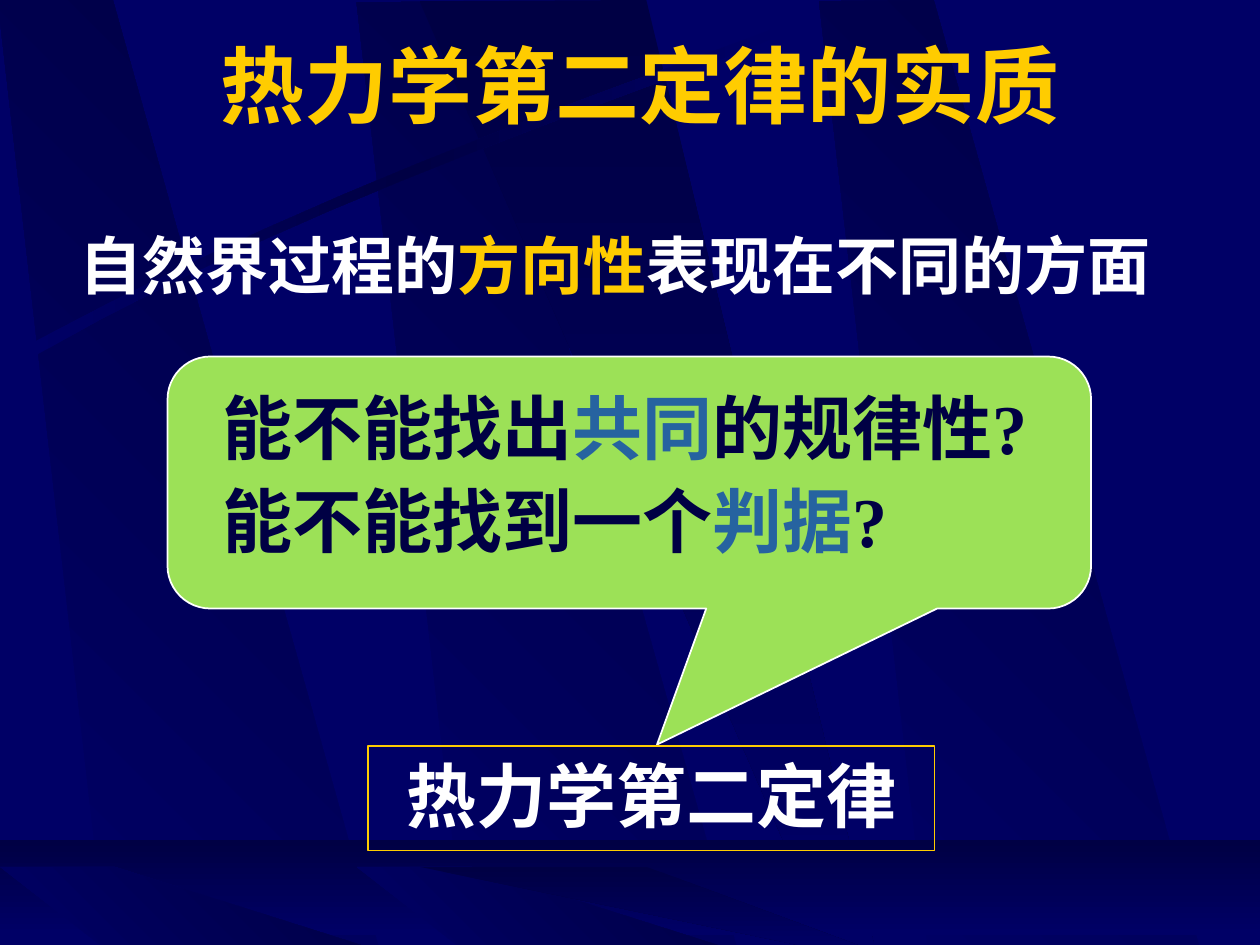
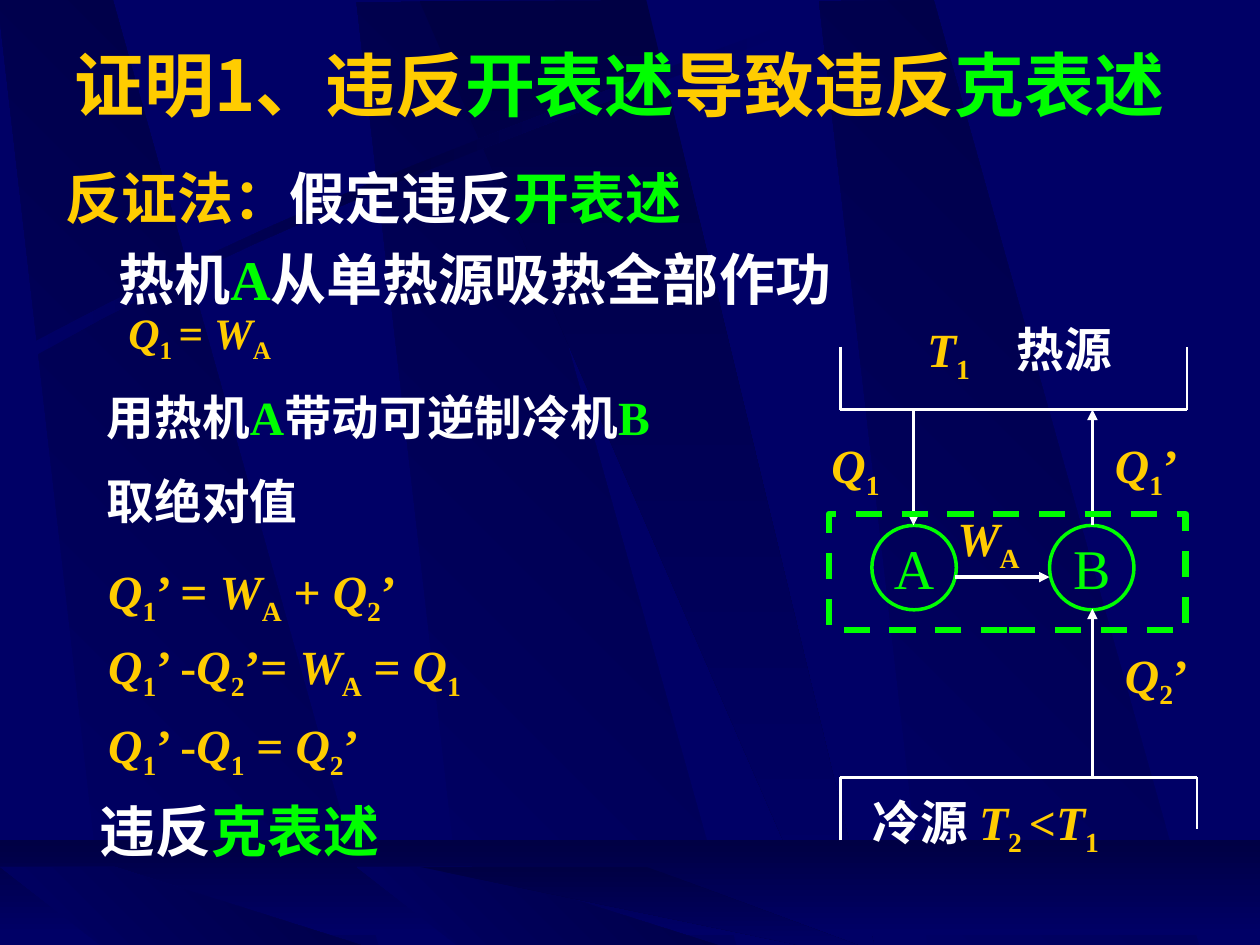
from copy import deepcopy
from dataclasses import dataclass
from itertools import pairwise

from pptx import Presentation
from pptx import util as u
from pptx.dml.color import RGBColor
from pptx.enum import dml, shapes, text
from pptx.oxml.ns import qn
from lxml import etree


@dataclass(frozen=True)
class Theme:
    navy: str = "000066"
    midnight: str = "000044"
    gold: str = "FFCC00"
    white: str = "FFFFFF"
    green: str = "00FF00"
    lime: str = "9CE157"
    blue: str = "2663A0"
    serif: str = "Times New Roman"
    sans: str = "Noto Sans CJK SC"
    cover_title: float = 48
    title: float = 40
    lead: float = 36
    body: float = 32
    note: float = 27.2
    small: float = 24.8


THEME = Theme()


def grid(units):
    """One layout unit is 2.54 cm; the page is 10 by 7.5 units."""
    return u.Cm(2.54 * units)


def bezier(start, ctrl_a, ctrl_b, end, steps=12):
    """Points along a cubic curve, without its start."""
    points = []
    for step in range(1, steps + 1):
        t = step / steps
        weights = ((1 - t) ** 3, 3 * t * (1 - t) ** 2, 3 * t * t * (1 - t), t ** 3)
        corners = (start, ctrl_a, ctrl_b, end)
        points.append(tuple(sum(w * c[axis] for w, c in zip(weights, corners))
                            for axis in (0, 1)))
    return points


class Painter:
    def __init__(self, deck, theme):
        self.deck, self.theme, self.page = deck, theme, None

    # Page and shared backdrop
    def new_page(self):
        self.page = self.deck.slides.add_slide(self.deck.slide_layouts[6])
        fill = self.page.background.fill
        fill.solid()
        fill.fore_color.rgb = RGBColor.from_string(self.theme.navy)
        self.backdrop()

    def backdrop(self):
        navy, dark = self.theme.navy, self.theme.midnight
        slant = [(0.86, 7.5), (3.02, 7.52), (0.91, 0), (0, 0.01)]
        for left, top in ((2.83, 0.01), (-0.02, -0.02), (6.5, 0)):
            self.outline([(left + x, top + y) for x, y in slant], (navy, dark), 315)
        self.outline([(3.33, 0.01), (6.58, 7.51), (6.94, 7.51), (5.13, 0)],
                     (dark, navy), 90)

        upper = bezier((0.2, 2.75), (2.84, 1.34), (5.24, 0.59), (6.26, 0.18))
        lower = bezier((6.29, 0.24), (5.28, 0.69), (2.54, 1.51), (0.23, 2.85))
        self.outline([(0.2, 2.75), *upper, (6.29, 0.24), *lower], (navy, dark, navy), 0)

        floor = self.shape(shapes.MSO_SHAPE.RECTANGLE, (0, 6.67, 10, 0.75))
        self.gradient(floor, (dark, navy), 90)
        for left in (2.83, 0):
            self.outline([(left + 0.86, 7.55), (left + 3.02, 7.55),
                          (left + 0.91, 6.88), (left, 6.88)], (navy, dark), 315)
        self.outline([(3.33, 6.88), (6.58, 7.55), (6.94, 7.55), (5.13, 6.88)],
                     (dark, navy), 90)

    def gradient(self, shape, colours, clockwise):
        shape.fill.gradient()
        shape.fill.gradient_angle = (360 - clockwise) % 360
        stop_list = shape.element.spPr.find(".//" + qn("a:gsLst"))
        for _ in colours[2:]:
            stop_list.insert(1, deepcopy(stop_list[0]))
        for index, stop in enumerate(stop_list):
            stop.set("pos", str(100000 * index // (len(colours) - 1)))
        for stop, colour in zip(shape.fill.gradient_stops, colours):
            stop.color.rgb = RGBColor.from_string(colour)

    # Shapes and lines
    def outline(self, points, colours, clockwise):
        corners = [(grid(x), grid(y)) for x, y in points]
        builder = self.page.shapes.build_freeform(*corners[0])
        builder.add_line_segments(corners[1:], close=True)
        shape = builder.convert_to_shape()
        shape.shadow.inherit = False
        shape.line.fill.background()
        self.gradient(shape, colours, clockwise)

    def shape(self, kind, place, fill=None, line=None, width=1, dashed=False):
        shape = self.page.shapes.add_shape(kind, *map(grid, place))
        shape.shadow.inherit = False
        if fill:
            shape.fill.solid()
            shape.fill.fore_color.rgb = RGBColor.from_string(fill)
        else:
            shape.fill.background()
        if line:
            shape.line.color.rgb = RGBColor.from_string(line)
            shape.line.width = u.Pt(width)
        else:
            shape.line.fill.background()
        if dashed:
            shape.line.dash_style = dml.MSO_LINE.DASH
        return shape

    def line(self, start, end, width=1.5, arrow=False):
        line = self.page.shapes.add_connector(
            shapes.MSO_CONNECTOR.STRAIGHT, *map(grid, (*start, *end)))
        line.line.color.rgb = RGBColor.from_string(self.theme.white)
        line.line.width = u.Pt(width)
        properties = line.element.spPr
        if arrow:
            etree.SubElement(properties.find(qn("a:ln")), qn("a:tailEnd"), type="triangle")
        etree.SubElement(properties, qn("a:effectLst"))

    def arrow(self, start, end):
        self.line(start, end, 2, True)

    def bracket(self, points):
        for start, end in pairwise(points):
            self.line(start, end)

    # Text
    def set_text(self, frame, paras, size, latin=None, bold=True, centred=False,
                 spacing=None, before=0, tab=None, indents=()):
        """Each para lists (words, colour); in words, pieces are split by |,
        * marks an italic symbol and _ a subscript."""
        frame.word_wrap = True
        for index, spans in enumerate(paras):
            para = frame.add_paragraph() if index else frame.paragraphs[0]
            if tab:
                tabs = etree.SubElement(para._p.get_or_add_pPr(), qn("a:tabLst"))
                etree.SubElement(tabs, qn("a:tab"), pos=str(grid(tab)), algn="l")
            para.alignment = text.PP_ALIGN.CENTER if centred else text.PP_ALIGN.LEFT
            if spacing:
                para.line_spacing = spacing
            if index:
                para.space_before = u.Pt(before)
            if indents:
                para._p.get_or_add_pPr().set("marL", str(grid(indents[index])))
            for words, colour in spans:
                for piece in words.split("|"):
                    self.span(para, piece, colour, size, latin or self.theme.serif, bold)

    def span(self, para, piece, colour, size, latin, bold):
        span = para.add_run()
        span.text = piece.lstrip("*_")
        font = span.font
        font.size, font.bold, font.name = u.Pt(size), bold, latin
        font.italic = piece.startswith("*")
        font.color.rgb = RGBColor.from_string(colour)
        properties = span._r.get_or_add_rPr()
        if piece.startswith("_"):
            properties.set("baseline", "-25000")
        etree.SubElement(properties, qn("a:ea"), typeface=self.theme.sans)

    def box(self, place, paras, size, **style):
        box = self.page.shapes.add_textbox(*map(grid, place))
        self.set_text(box.text_frame, paras, size, **style)
        return box

    def title(self, place, spans, size):
        box = self.box(place, [spans], size, latin=self.theme.sans, centred=True)
        box.text_frame.vertical_anchor = text.MSO_ANCHOR.MIDDLE

    def formula(self, place, words, size=None, spacing=0.9):
        self.box(place, [[(words, self.theme.gold)]], size or self.theme.note,
                 spacing=spacing)

    def engine(self, left, name):
        ring = self.shape(shapes.MSO_SHAPE.OVAL, (left, 4.17, 0.67, 0.67),
                          line=self.theme.green, width=2)
        frame = ring.text_frame
        frame.margin_left = frame.margin_right = frame.margin_top = frame.margin_bottom = 0
        frame.vertical_anchor = text.MSO_ANCHOR.MIDDLE
        self.set_text(frame, [[(name, self.theme.green)]], self.theme.body,
                      bold=False, centred=True)


def essence_page(art):
    theme = art.theme
    art.new_page()
    callout = art.shape(shapes.MSO_SHAPE.ROUNDED_RECTANGULAR_CALLOUT,
                        (1.33, 2.83, 7.33, 2), theme.lime, theme.white)
    for index, value in enumerate((0.03, 1.04, 0.17)):
        callout.adjustments[index] = value
    art.title((0.83, 0.22, 8.5, 0.9), [("热力学第二定律的实质", theme.gold)],
              theme.cover_title)
    art.box((1.67, 3.08, 6.92, 1.5), [
        [("能不能找出", theme.midnight), ("共同", theme.blue), ("的规律性?", theme.midnight)],
        [("能不能找到一个", theme.midnight), ("判据", theme.blue), ("?", theme.midnight)],
    ], theme.title, spacing=0.9, before=10)
    art.box((0.53, 1.75, 9.13, 0.92), [
        [("自然界过程的", theme.white), ("方向性", theme.gold),
         ("表现在不同的方面", theme.white)]], theme.lead, latin=theme.sans)
    law = art.shape(shapes.MSO_SHAPE.RECTANGLE, (2.92, 5.92, 4.5, 0.83),
                    line=theme.gold, width=0.75)
    law.text_frame.vertical_anchor = text.MSO_ANCHOR.TOP
    art.set_text(law.text_frame, [[("热力学第二定律", theme.white)]], theme.title,
                 centred=True)


def proof_page(art):
    theme = art.theme
    gold, white, green = theme.gold, theme.white, theme.green
    art.new_page()
    art.title((0.33, 0.28, 9.17, 0.77),
              [("证明1、违反", gold), ("开表述", green), ("导致违反", gold),
               ("克表述", green)], theme.title)

    # Argument on the left
    art.box((0.42, 1.25, 6.5, 1.32), [
        [("反证法：", gold), ("假定违反", white), ("开表述", green)],
        [("热机", white), ("A", green), ("从单热源吸热全部作功", white)],
    ], theme.body, before=8, indents=(0, 0.42))
    art.formula((0.92, 2.42, 1.92, 0.58), "*Q|_1 |= |*W|_A", theme.small, 0.8)
    art.box((0.75, 3.08, 5.42, 0.58),
            [[("用热机", white), ("A", green), ("带动可逆制冷机", white), ("B", green)]],
            theme.note, spacing=0.9)
    art.box((0.75, 3.75, 2.5, 0.58), [[("取绝对值", white)]], theme.note, spacing=0.9)
    equations = ("*Q|_1|’ = |*W|_A| + |*Q|_2|’",
                 "*Q|_1|’ -|*Q|_2|’= |*W|_A| = |*Q|_1",
                 "*Q|_1|’ -|*Q|_1| = |*Q|_2|’")
    for top, words in zip((4.42, 5.01, 5.64), equations):
        art.formula((0.76, top, 4.17, 0.67), words)
    art.box((0.69, 6.27, 3.16, 0.67), [[("违反", white), ("克表述", green)]], theme.body)

    # Heat reservoirs
    hot, cold = 3.25, 6.17
    art.bracket([(6.67, 2.75), (6.67, hot), (9.42, hot), (9.42, 2.75)])
    art.box((7.26, 2.5, 2, 0.67), [[("*T|_1", gold), ("\t热源", white)]],
            theme.note, spacing=0.9, tab=0.71)
    art.bracket([(6.67, 6.67), (6.67, cold), (9.5, cold), (9.5, 6.58)])
    art.box((6.83, 6.25, 2.5, 0.67),
            [[("冷源 ", white), ("*T|_2 |<|*T|_1", gold)]], theme.note, spacing=0.9)

    # Engine, refrigerator and the flows between them
    art.engine(6.92, "A")
    art.engine(8.33, "B")
    art.arrow((7.25, hot), (7.25, 4.17))
    art.arrow((8.67, 4.17), (8.67, hot))
    art.arrow((7.58, 4.58), (8.33, 4.58))
    art.arrow((8.67, cold), (8.67, 4.83))
    for left, top, width, words in ((8.83, 5.08, 0.83, "*Q|_2|’"),
                                    (8.75, 3.42, 0.83, "*Q|_1|’"),
                                    (7.5, 4, 1, "*W|_A"),
                                    (6.5, 3.42, 0.75, "*Q|_1")):
        art.formula((left, top, width, 0.67), words)
    art.shape(shapes.MSO_SHAPE.RECTANGLE, (6.58, 4.08, 2.83, 0.92),
              line=green, width=3.75, dashed=True)


def main():
    deck = Presentation()
    deck.slide_width, deck.slide_height = grid(10), grid(7.5)
    art = Painter(deck, THEME)
    essence_page(art)
    proof_page(art)
    deck.save("out.pptx")


if __name__ == "__main__":
    main()
